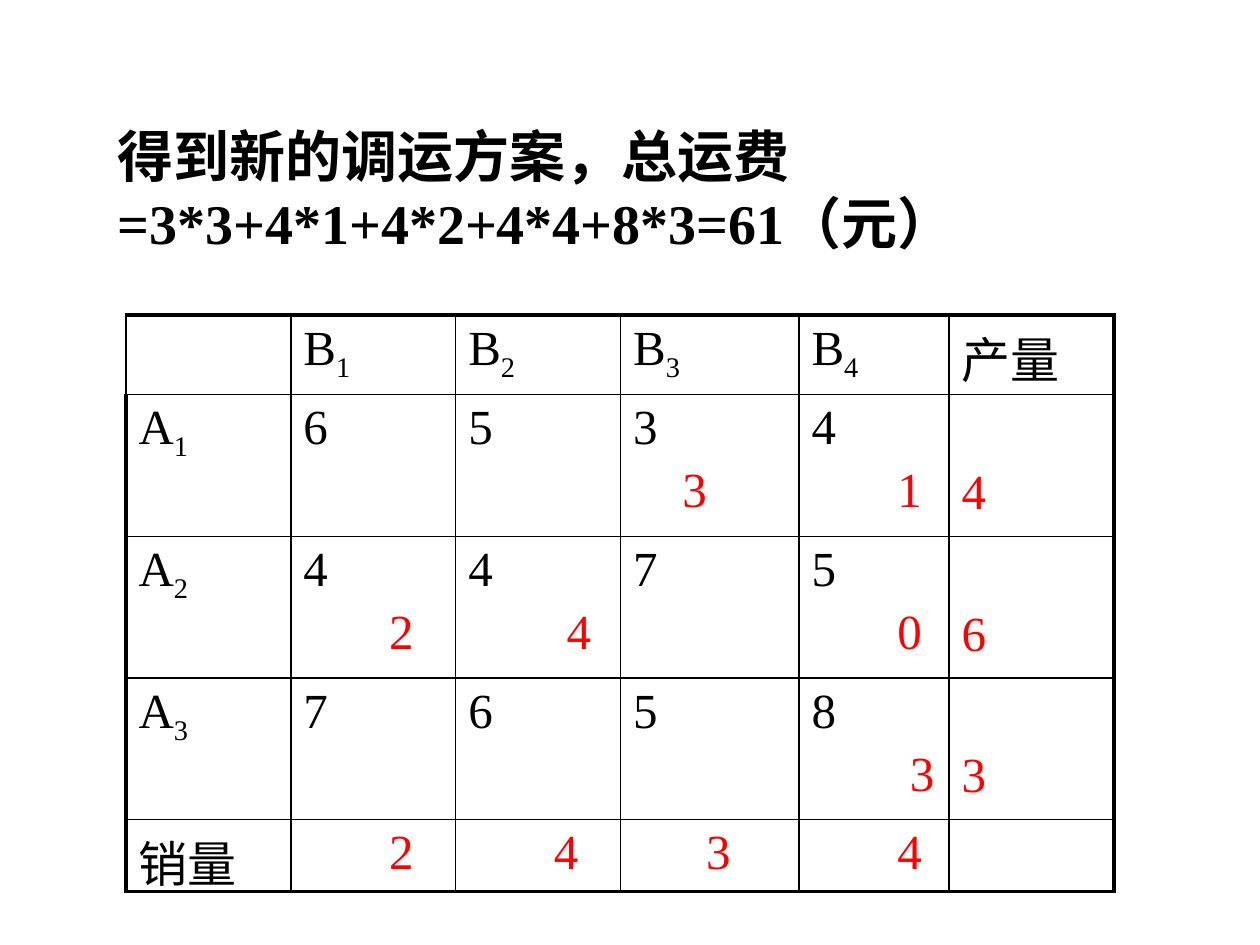
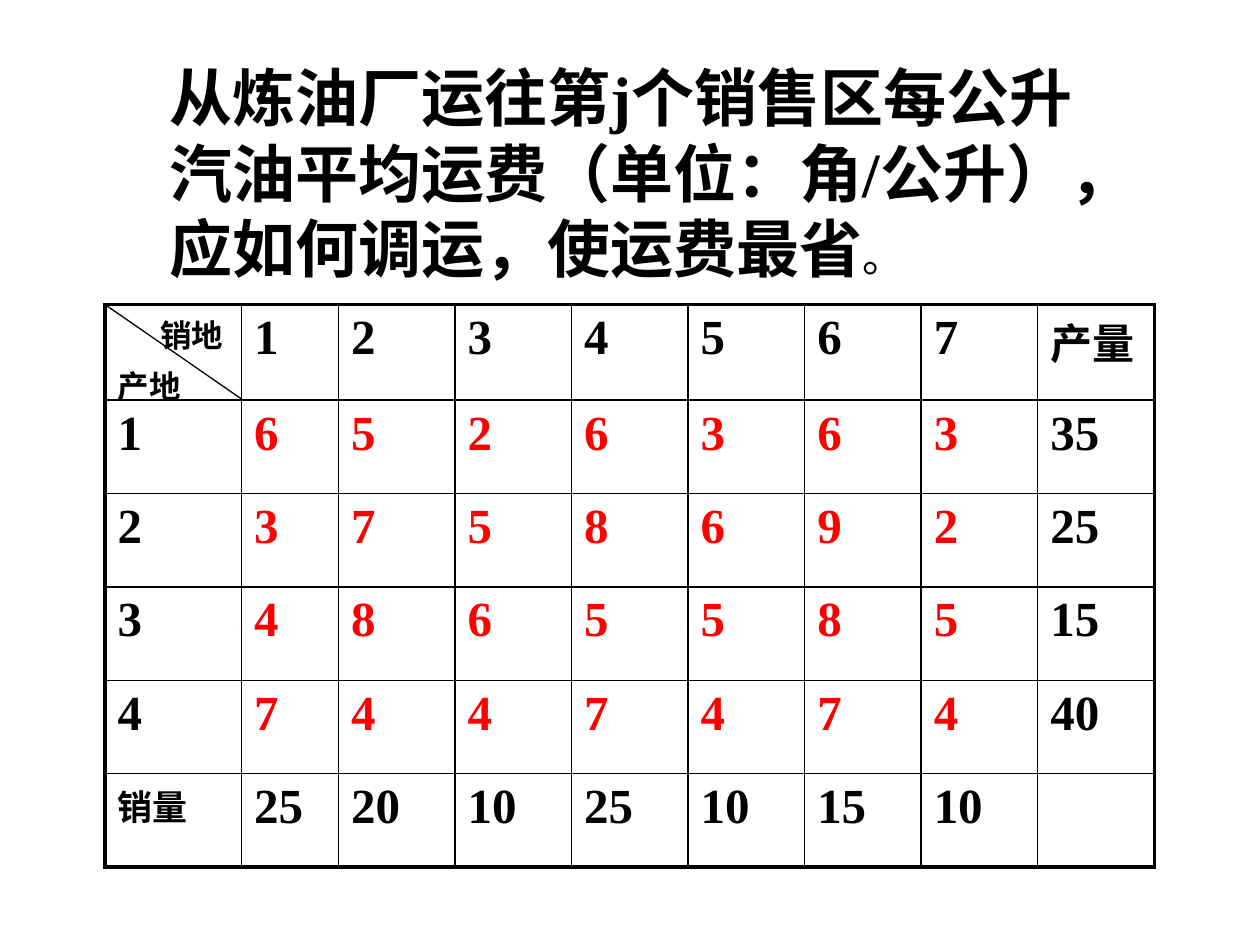
"""Build two transport-problem slides, each a title over a ruled cost table."""
from typing import NamedTuple

from pptx import Presentation
from pptx.dml.color import RGBColor as RGB
from pptx.enum.shapes import MSO_CONNECTOR as CONN
from pptx.enum.text import MSO_ANCHOR as ANCHOR, MSO_AUTO_SIZE as AUTO
from pptx.oxml.ns import qn
from pptx.util import Inches, Pt
from lxml.etree import SubElement

COLORS = {"ink": "000000", "amount": "FF0000"}
FONT = "Times New Roman"
THIN, THICK = 1, 2.25


class Line(NamedTuple):
    """One paragraph of a cell."""
    text: str
    color: str = "ink"
    size: int = 28
    indent: float = 0
    sub: str = ""


def unit(n):
    """Length of n grid units, 120 of which span the slide's width."""
    return Inches(n / 12)


def add_run(p, text, size, bold, color="ink"):
    """Add one run of text to a paragraph."""
    r = p.add_run()
    r.text = text
    r.font.name, r.font.size, r.font.bold = FONT, Pt(size), bold
    r.font.color.rgb = RGB.from_string(COLORS[color])
    return r


def add_title(s, box, runs):
    """Add a title from (text, size, bold) runs."""
    tf = s.shapes.add_textbox(*map(unit, box)).text_frame
    tf.word_wrap, tf.auto_size = True, AUTO.SHAPE_TO_FIT_TEXT
    for text, size, bold in runs:
        add_run(tf.paragraphs[0], text, size, bold)


def add_border(tcPr, side, width):
    """Rule one side of a cell."""
    ln = SubElement(tcPr, qn(f"a:ln{side}"), w=str(Pt(width)))
    fill = SubElement(ln, qn("a:solidFill"))
    SubElement(fill, qn("a:srgbClr"), val=COLORS["ink"])


def fill_cell(cell, lines, bold):
    """Write the lines of a cell, one paragraph each."""
    tf = cell.text_frame
    for i, line in enumerate(lines):
        p = tf.add_paragraph() if i else tf.paragraphs[0]
        if line.indent:
            p._p.get_or_add_pPr().set("marL", str(Inches(line.indent)))
        p.space_before = Pt(line.size * 0.18) if i else Pt(0)
        add_run(p, line.text, line.size, bold, line.color)
        if line.sub:
            r = add_run(p, line.sub, line.size, bold, line.color)
            r.font._element.set("baseline", "-25000")


def add_grid(s, left, top, cols, rows, cells, bold=False, corner=THICK):
    """Add a table with thin rules and a thick frame."""
    tbl = s.shapes.add_table(len(rows), len(cols), unit(left), unit(top),
                             unit(sum(cols)), unit(sum(rows))).table
    tbl.first_row = tbl.horz_banding = False
    for col, width in zip(tbl.columns, cols):
        col.width = unit(width)
    for row, height in zip(tbl.rows, rows):
        row.height = unit(height)
    for i, row in enumerate(cells):
        for j, lines in enumerate(row):
            cell = tbl.cell(i, j)
            frame = {"L": j == 0, "R": j == len(cols) - 1,
                     "T": i == 0, "B": i == len(rows) - 1}
            for side, outer in frame.items():
                width = THICK if outer else THIN
                if side == "L" and i == j == 0:
                    width = corner
                add_border(cell._tc.get_or_add_tcPr(), side, width)
            cell.fill.background()
            fill_cell(cell, lines, bold)
    return tbl


def add_diagonal(s, left, top, width, height):
    """Split the corner cell with a line."""
    c = s.shapes.add_connector(CONN.STRAIGHT, unit(left), unit(top),
                               unit(left + width), unit(top + height))
    c.line.color.rgb, c.line.width = RGB.from_string(COLORS["ink"]), Pt(0.75)
    SubElement(c._element.spPr, qn("a:effectLst"))


def add_plan(s):
    """Show the new transport plan and its total cost."""
    add_title(s, (10, 11, 93, 14),
              [("得到新的调运方案，总运费=3*3+4*1+4*2+4*4+8*3=61（元）", 32, True)])
    costs = ["6534", "4475", "7658"]
    shipped = {(0, 2): ("3", 0.39), (0, 3): ("1", 0.68), (1, 0): ("2", 0.68),
               (1, 1): ("4", 0.78), (1, 3): ("0", 0.68), (2, 3): ("3", 0.78)}
    cells = [[[], *[[Line("B", sub=n)] for n in "1234"], [Line("产量")]]]
    for i, (row, supply) in enumerate(zip(costs, "463")):
        line = [[Line("A", sub=str(i + 1))]]
        for j, cost in enumerate(row):
            lines = [Line(cost)]
            if (i, j) in shipped:
                amount, indent = shipped[i, j]
                lines.append(Line(amount, "amount", indent=indent))
            line.append(lines)
        cells.append(line + [[Line(supply, "amount")]])
    demand = zip("2434", (0.68, 0.68, 0.58, 0.68))
    cells.append([[Line("销量")],
                  *[[Line(n, "amount", indent=x)] for n, x in demand], []])
    tbl = add_grid(s, 12, 30, [15.7, 15.7, 15.7, 17, 14.3, 15.7],
                   [6.8, 13.5, 13.5, 13.5, 6.8], cells, corner=THIN)
    for i in range(1, 4):
        cell = tbl.cell(i, 5)
        cell.vertical_anchor, cell.margin_bottom = ANCHOR.BOTTOM, Inches(0.13)


def add_refinery(s):
    """Show the refinery problem and its unit costs."""
    add_title(s, (15, 5, 90, 22.8),
              [("从炼油厂运往第j个销售区每公升汽油平均运费（单位：角/公升），应如何调运，使运费最省", 36, True),
               ("。", 24, False)])
    costs = ["6526363", "3758692", "4865585", "7447474"]
    supply = ["35", "25", "15", "40"]
    demand = ["25", "20", "10", "25", "10", "15", "10"]
    corner = [Line("销地", size=18, indent=0.34), Line("产地", size=18)]
    cells = [[corner, *[[Line(n)] for n in "1234567"], [Line("产量", size=24)]]]
    for i, (row, total) in enumerate(zip(costs, supply), 1):
        cells.append([[Line(str(i))], *[[Line(n, "amount")] for n in row],
                      [Line(total)]])
    cells.append([[Line("销量", size=20)], *[[Line(n)] for n in demand], []])
    add_grid(s, 10, 29, [13, 9.25] + [11.1] * 7, [9.1] + [8.9] * 5, cells, bold=True)
    add_diagonal(s, 10, 29, 13, 9)


def main():
    """Build and save both slides."""
    prs = Presentation()
    prs.slide_width, prs.slide_height = unit(120), unit(90)
    for build in (add_plan, add_refinery):
        build(prs.slides.add_slide(prs.slide_layouts[6]))
    prs.save("out.pptx")


if __name__ == "__main__":
    main()
